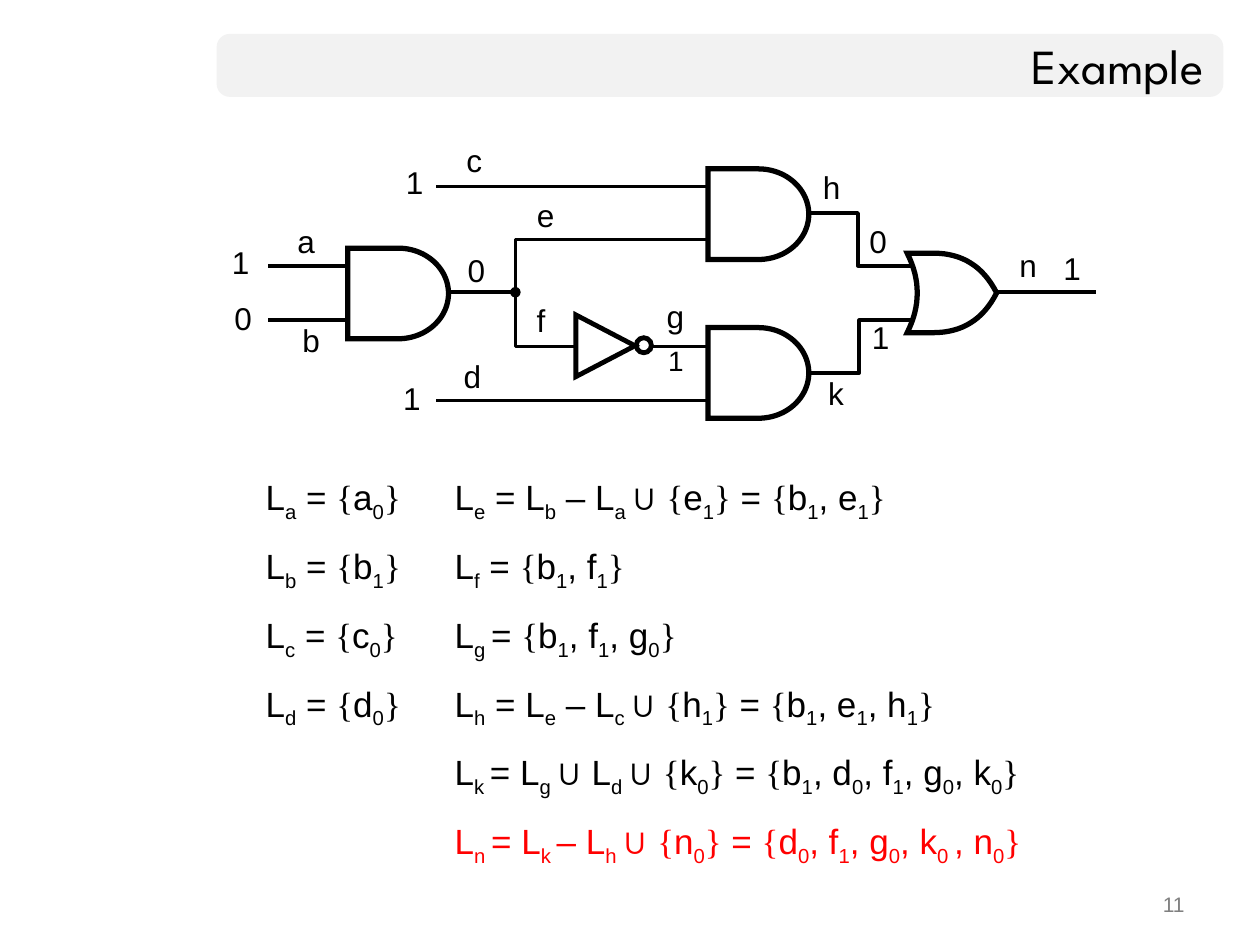
from dataclasses import dataclass
from itertools import groupby

from pptx import Presentation
from pptx.dml.color import RGBColor
from pptx.enum import shapes, text
from pptx.oxml.ns import qn
from pptx.util import Pt
from lxml import etree


@dataclass(frozen=True)
class Theme:
    ink: RGBColor = RGBColor(0, 0, 0)
    paper: RGBColor = RGBColor(255, 255, 255)
    banner: RGBColor = RGBColor(0xF2, 0xF2, 0xF2)
    muted: RGBColor = RGBColor(0x80, 0x80, 0x80)
    result: RGBColor = RGBColor(255, 0, 0)
    body_font: str = "Arial"
    brace_font: str = "Times New Roman"
    title_font: str = "League Spartan"
    title_size: float = 28
    formula_size: float = 20
    label_size: float = 18
    small_label_size: float = 16
    number_size: float = 12
    wire: float = 2
    inverter_line: float = 2.75
    gate_line: float = 3


THEME = Theme()
AND_GATE = shapes.MSO_SHAPE.FLOWCHART_DELAY

# "_" lowers the character after it.
FORMULAS = [
    "L_a = {a_0}\tL_e = L_b – L_a_ ∪ {e_1} = {b_1, e_1}",
    "L_b = {b_1}\tL_f = {b_1, f_1}",
    "L_c = {c_0}\tL_g_ = {b_1, f_1, g_0}",
    "L_d = {d_0}\tL_h = L_e – L_c_ ∪ {h_1} = {b_1, e_1, h_1}",
    "\tL_k_ = L_g_ ∪ L_d_ ∪ {k_0} = {b_1, d_0, f_1, g_0, k_0}",
    "\tL_n_ = L_k_ – L_h_ ∪ {n_0} = {d_0, f_1, g_0, k_0_ , n_0}",
]

LABELS = [
    ("a", 175, 137.9), ("b", 177.8, 194), ("c", 271.1, 91.1), ("d", 270, 214.9),
    ("e", 311.8, 122.8), ("f", 309.2, 182.5), ("g", 385.9, 180.4),
    ("h", 475.2, 106.9), ("k", 477.7, 224.3), ("n", 587.5, 151.6),
    ("0", 139, 181.8), ("0", 272.2, 154.4), ("0", 501.8, 137.9),
    ("1", 137.5, 149.4), ("1", 236.9, 104), ("1", 235.4, 227.2),
    ("1", 503.3, 192.6), ("1", 612.7, 153),
]

STRAIGHT_WIRES = [
    (208.8, 182.9, 153.4), (208.8, 151.9, 153.4),
    (414.7, 229, 249.1), (414.7, 106.6, 249.1), (560.9, 167, 626.4),
]

BENT_WIRES = [
    [(414.7, 198), (294.5, 198), (294.5, 136.8), (419.8, 136.8)],
    [(455.8, 213.1), (491, 213.1), (491, 182.9), (531.4, 182.9)],
    [(455, 121.7), (490.3, 121.7), (490.3, 151.9), (530.6, 151.9)],
]


def add_line_detail(shape, tag, **attributes):
    line = shape.element.spPr.find(qn("a:ln"))
    etree.SubElement(line, qn(tag), **attributes)


def style_outline(shape, width, fill=None):
    shape.shadow.inherit = False
    if fill is None:
        shape.fill.background()
    else:
        shape.fill.solid()
        shape.fill.fore_color.rgb = fill
    shape.line.color.rgb = THEME.ink
    shape.line.width = Pt(width)


def add_gate(slide, kind, left, top, width, height, line_width=THEME.gate_line):
    gate = slide.shapes.add_shape(kind, Pt(left), Pt(top), Pt(width), Pt(height))
    style_outline(gate, line_width, THEME.paper)
    add_line_detail(gate, "a:miter", lim="800000")
    return gate


def add_wire(slide, start, y, end, dot=False):
    wire = slide.shapes.add_connector(
        shapes.MSO_CONNECTOR.STRAIGHT, Pt(start), Pt(y), Pt(end), Pt(y))
    wire.line.color.rgb = THEME.ink
    wire.line.width = Pt(THEME.wire)
    if dot:
        add_line_detail(wire, "a:tailEnd", type="oval")
    etree.SubElement(wire.element.spPr, qn("a:effectLst"))


def add_outline(slide, points, line_width, fill=None, close=False):
    start, *rest = [(Pt(x), Pt(y)) for x, y in points]
    builder = slide.shapes.build_freeform(*start)
    builder.add_line_segments(rest, close=close)
    shape = builder.convert_to_shape()
    style_outline(shape, line_width, fill)
    return shape


def curve(start, control, end, steps=16):
    """Points along a quadratic curve."""
    fractions = [step / steps for step in range(steps + 1)]
    return [tuple((1 - t) ** 2 * a + 2 * t * (1 - t) * b + t * t * c
                  for a, b, c in zip(start, control, end)) for t in fractions]


def add_or_gate(slide):
    left, top, middle, bottom = 518.4, 144.7, 167.4, 190.1
    shoulder, bend, tip = 533.5, 558, 569.5
    points = [(left, top)]
    points += curve((shoulder, top), (bend, top), (tip, middle))
    points += curve((tip, middle), (bend, bottom), (shoulder, bottom))[1:]
    points += curve((left, bottom), (529.9, middle), (left, top))[:-1]
    gate = add_outline(slide, points, THEME.gate_line, THEME.paper, close=True)
    add_line_detail(gate, "a:miter", lim="800000")


def add_frame(slide, left, top, width, height, inset=7.2):
    box = slide.shapes.add_textbox(Pt(left), Pt(top), Pt(width), Pt(height))
    frame = box.text_frame
    frame.word_wrap = True
    frame.margin_left = frame.margin_right = Pt(inset)
    frame.vertical_anchor = text.MSO_ANCHOR.MIDDLE
    return frame


def set_font(paragraph, size, color=THEME.ink, name=THEME.body_font):
    paragraph.font.name = name
    paragraph.font.size = Pt(size)
    paragraph.font.color.rgb = color


def add_right_text(slide, content, bounds, size, color, name):
    paragraph = add_frame(slide, *bounds).paragraphs[0]
    paragraph.text = content
    paragraph.alignment = text.PP_ALIGN.RIGHT
    set_font(paragraph, size, color, name)


def add_label(slide, content, x, y, size=THEME.label_size):
    """Centre one character on a point."""
    width, height = 21.6, 51
    frame = add_frame(slide, x - width / 2, y - height / 2, width, height, inset=0)
    paragraph = frame.paragraphs[0]
    paragraph.text = content
    paragraph.alignment = text.PP_ALIGN.CENTER
    set_font(paragraph, size)


def write_formula(paragraph, formula, color):
    properties = paragraph._p.get_or_add_pPr()
    tabs = etree.SubElement(properties, qn("a:tabLst"))
    etree.SubElement(tabs, qn("a:tab"), pos=str(Pt(108)), algn="l")
    set_font(paragraph, THEME.formula_size, color)
    characters = [(character, before == "_", character in "{}")
                  for before, character in zip(" " + formula, formula)
                  if character != "_"]
    for (lowered, brace), group in groupby(characters, key=lambda item: item[1:]):
        run = paragraph.add_run()
        run.text = "".join(item[0] for item in group)
        if lowered:
            run._r.get_or_add_rPr().set("baseline", "-25000")
        if brace:
            run.font.name = THEME.brace_font


def add_formulas(slide):
    frame = add_frame(slide, 144.7, 277.2, 466.6, 213.1)
    for index, formula in enumerate(FORMULAS):
        paragraph = frame.add_paragraph() if index else frame.paragraphs[0]
        if index:
            paragraph.space_before = Pt(12)
        last = index == len(FORMULAS) - 1
        write_formula(paragraph, formula, THEME.result if last else THEME.ink)


def add_banner(slide):
    banner = slide.shapes.add_shape(shapes.MSO_SHAPE.ROUNDED_RECTANGLE,
                                    Pt(123.8), Pt(19.4), Pt(575.3), Pt(36))
    banner.adjustments[0] = 0.21
    style_outline(banner, 0, THEME.banner)
    banner.line.fill.background()
    add_right_text(slide, "Example", (123.8, 19.4, 571, 36),
                   THEME.title_size, THEME.ink, THEME.title_font)


def add_circuit(slide):
    add_wire(slide, 249.1, 167, 294.5, dot=True)
    for wire in STRAIGHT_WIRES:
        add_wire(slide, *wire)
    for points in BENT_WIRES:
        add_outline(slide, points, THEME.wire)
    for left, top in [(404.6, 96.5), (404.6, 187.2), (198.7, 141.8)]:
        add_gate(slide, AND_GATE, left, top, 57.6, 51.8)
    add_gate(slide, shapes.MSO_SHAPE.FLOWCHART_CONNECTOR,
             363.6, 193, 8.6, 8.6, THEME.inverter_line)
    inverter = add_gate(slide, shapes.MSO_SHAPE.ISOSCELES_TRIANGLE,
                        328.3, 180.7, 35.3, 33.8, THEME.inverter_line)
    inverter.rotation = 90
    add_or_gate(slide)
    for label in LABELS:
        add_label(slide, *label)
    add_label(slide, "1", 386.3, 205.6, THEME.small_label_size)


def main():
    presentation = Presentation()
    presentation.slide_width, presentation.slide_height = Pt(720), Pt(540)
    slide = presentation.slides.add_slide(presentation.slide_layouts[6])
    add_banner(slide)
    add_right_text(slide, "11", (516.2, 504, 167.8, 25.2),
                   THEME.number_size, THEME.muted, THEME.body_font)
    add_formulas(slide)
    add_circuit(slide)
    presentation.save("out.pptx")


if __name__ == "__main__":
    main()
